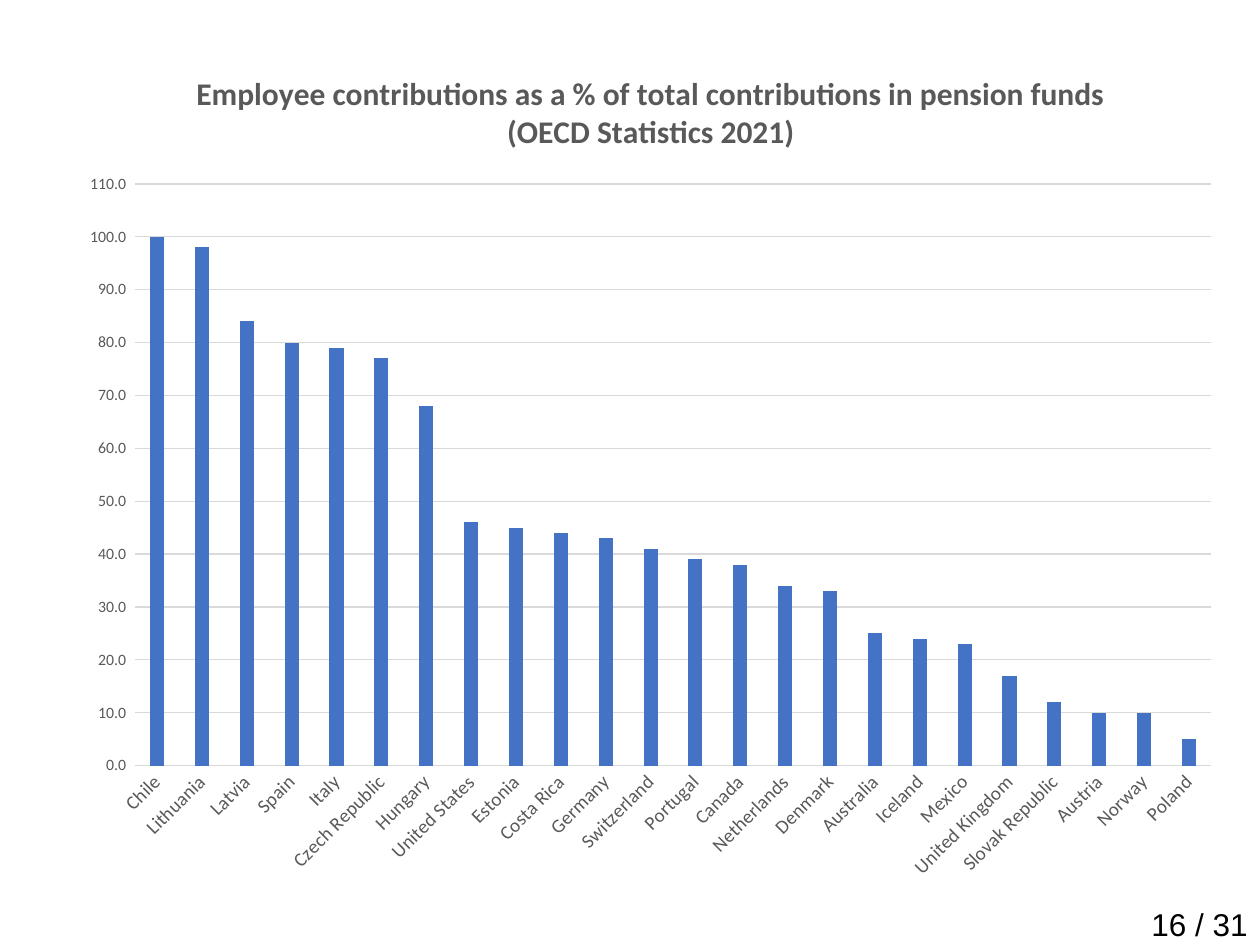
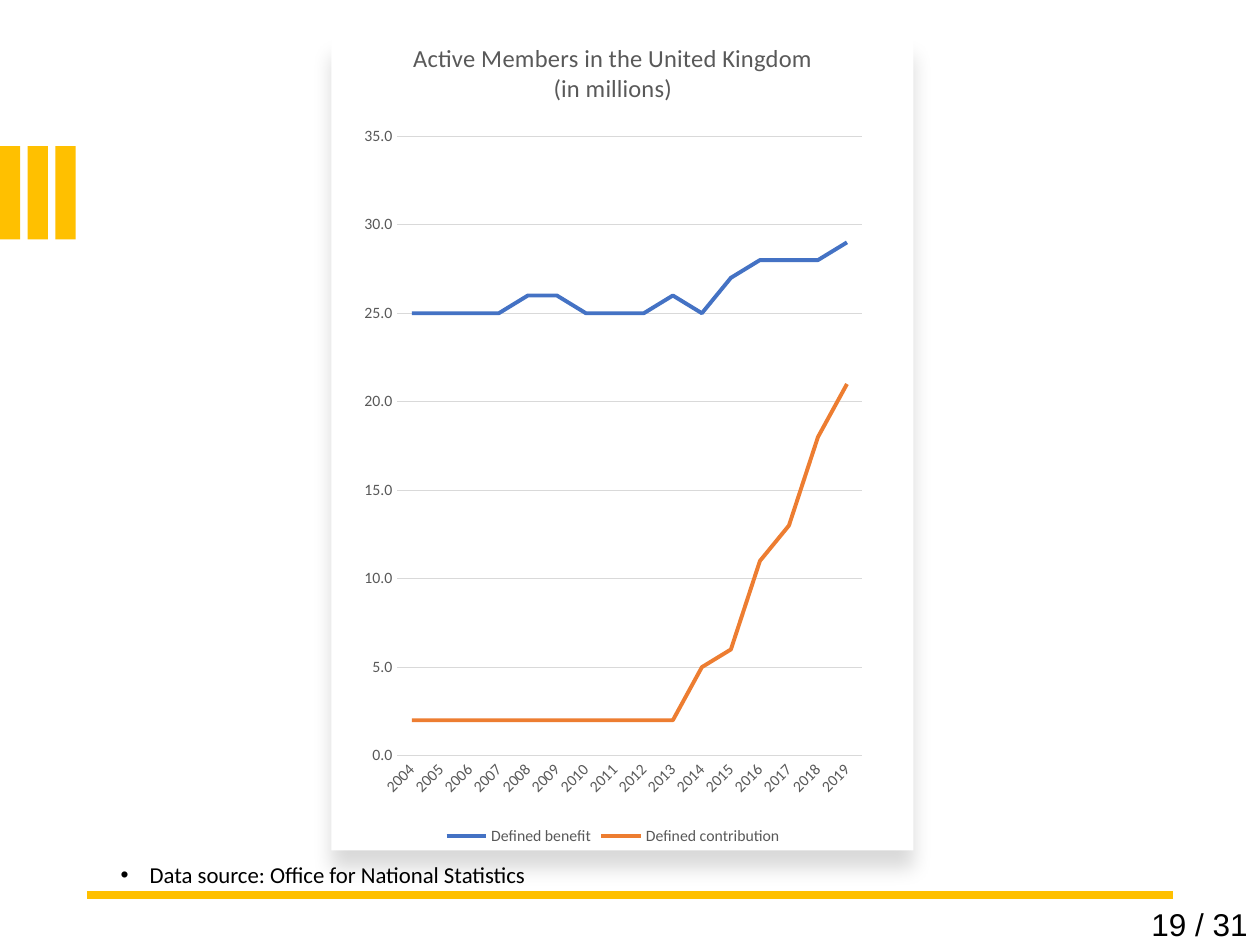
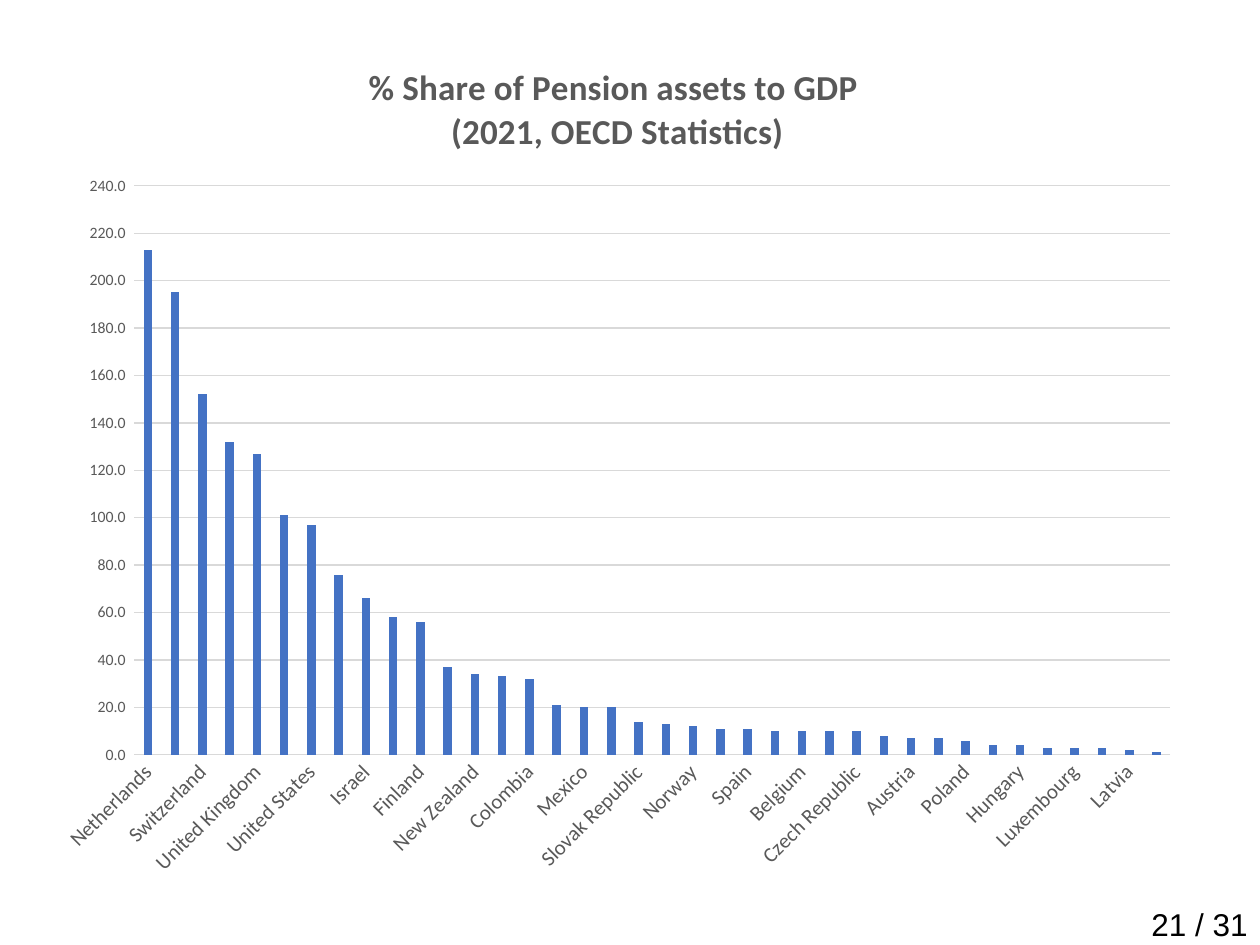
from dataclasses import dataclass

from lxml import etree
from pptx import Presentation
from pptx.chart.data import CategoryChartData
from pptx.dml.color import RGBColor
from pptx.enum.chart import XL_CHART_TYPE, XL_LEGEND_POSITION, XL_MARKER_STYLE, XL_TICK_MARK
from pptx.enum.shapes import MSO_CONNECTOR, MSO_SHAPE
from pptx.enum.text import MSO_ANCHOR, PP_ALIGN
from pptx.oxml.ns import qn
from pptx.util import Emu, Inches, Pt

COLUMNS_CHART = XL_CHART_TYPE.COLUMN_CLUSTERED
LINES_CHART = XL_CHART_TYPE.LINE
BOTTOM = XL_LEGEND_POSITION.BOTTOM
NO_MARKER = XL_MARKER_STYLE.NONE
NO_TICK = XL_TICK_MARK.NONE
RECTANGLE = MSO_SHAPE.RECTANGLE
STRAIGHT = MSO_CONNECTOR.STRAIGHT
MIDDLE = MSO_ANCHOR.MIDDLE
RIGHT = PP_ALIGN.RIGHT

WIDTH, HEIGHT = Inches(10), Inches(7.5)
GRID_COLUMNS, GRID_ROWS = 100, 75
BLANK_LAYOUT = 6
PAGE_COUNT = 31

BLACK, WHITE, GREY, RULE = "000000", "FFFFFF", "595959", "D9D9D9"
BLUE, ORANGE, GOLD = "4472C4", "ED7D31", "FFC000"
BODY_FONT, NUMBER_FONT = "Calibri", "Arial"
PADDED_FORMAT = "#,##0.0_ ;\\-#,##0.0\\ "
AUTOMATIC_ROTATION = "-60000000"


@dataclass(frozen=True)
class Frame:
    column: float
    row: float
    columns: float
    rows: float

    def place(self) -> tuple[Emu, Emu, Emu, Emu]:
        return across(self.column), down(self.row), across(self.columns), down(self.rows)


@dataclass(frozen=True)
class Series:
    name: str
    values: list[int]
    color: str


@dataclass(frozen=True)
class ChartPlan:
    frame: Frame
    kind: int
    title: str
    title_size: float
    title_bold: bool
    label_size: float
    categories: list[str]
    series: list[Series]
    number_format: str
    maximum: float
    step: float


CONTRIBUTIONS = ChartPlan(
    Frame(5.3, 3.6, 92.7, 67.5), COLUMNS_CHART,
    "Employee contributions as a % of total contributions in pension funds\n(OECD Statistics 2021)",
    18, True, 11,
    ["Chile", "Lithuania", "Latvia", "Spain", "Italy", "Czech Republic", "Hungary",
     "United States", "Estonia", "Costa Rica", "Germany", "Switzerland", "Portugal",
     "Canada", "Netherlands", "Denmark", "Australia", "Iceland", "Mexico",
     "United Kingdom", "Slovak Republic", "Austria", "Norway", "Poland"],
    [Series("Series 1", [100, 98, 84, 80, 79, 77, 68, 46, 45, 44, 43, 41, 39, 38, 34, 33,
                         25, 24, 23, 17, 12, 10, 10, 5], BLUE)],
    PADDED_FORMAT, 110, 10)

MEMBERS = ChartPlan(
    Frame(28.1, 1.1, 41.1, 66.4), LINES_CHART,
    "Active Members in the United Kingdom\n(in millions)",
    14, False, 9,
    [str(year) for year in range(2004, 2020)],
    [Series("Defined benefit", [25, 25, 25, 25, 26, 26, 25, 25, 25, 26, 25, 27, 28, 28,
                                28, 29], BLUE),
     Series("Defined contribution", [2, 2, 2, 2, 2, 2, 2, 2, 2, 2, 5, 6, 11, 13, 18,
                                     21], ORANGE)],
    "0.0", 35, 5)

ASSETS = ChartPlan(
    Frame(3.3, 2.9, 91.4, 67.9), COLUMNS_CHART,
    "% Share of Pension assets to GDP \n(2021, OECD Statistics)",
    20, True, 12,
    ["Netherlands", "Iceland", "Switzerland", "Australia", "United Kingdom", "Canada",
     "United States", "Chile", "Israel", "Denmark", "Finland", "Costa Rica", "New Zealand",
     "Ireland", "Colombia", "Japan", "Mexico", "Estonia", "Slovak Republic", "Korea",
     "Norway", "Portugal", "Spain", "Italy", "Belgium", "Lithuania", "Czech Republic",
     "Germany", "Austria", "Slovenia", "Poland", "Sweden", "Hungary", "Turkey",
     "Luxembourg", "France", "Latvia", "Greece"],
    [Series("Series 1", [213, 195, 152, 132, 127, 101, 97, 76, 66, 58, 56, 37, 34, 33, 32,
                         21, 20, 20, 14, 13, 12, 11, 11, 10, 10, 10, 10, 8, 7, 7, 6, 4, 4,
                         3, 3, 3, 2, 1], BLUE)],
    PADDED_FORMAT, 240, 20)


def across(columns: float) -> Emu:
    return Emu(round(WIDTH * columns / GRID_COLUMNS))


def down(rows: float) -> Emu:
    return Emu(round(HEIGHT * rows / GRID_ROWS))


def rgb(value: str) -> RGBColor:
    return RGBColor.from_string(value)


def add_element(parent, tag: str, **attributes: str):
    return etree.SubElement(parent, qn(tag), attributes)


def format_font(font, *, size: float, color: str = GREY, bold: bool = False,
                name: str = BODY_FONT) -> None:
    font.name = name
    font.size = Pt(size)
    font.bold = bold
    font.color.rgb = rgb(color)


def write(frame, text: str, *, align=None, **style) -> None:
    for index, line in enumerate(text.split("\n")):
        para = frame.add_paragraph() if index else frame.paragraphs[0]
        para.alignment = align
        span = para.add_run()
        span.text = line
        for font in (para.font, span.font):
            format_font(font, **style)


def add_box(page, frame: Frame):
    box = page.shapes.add_textbox(*frame.place()).text_frame
    box.word_wrap = True
    return box


def add_rectangle(page, frame: Frame, color: str):
    shape = page.shapes.add_shape(RECTANGLE, *frame.place())
    shape.shadow.inherit = False
    shape.fill.solid()
    shape.fill.fore_color.rgb = rgb(color)
    shape.line.fill.background()
    return shape


def format_line(line, color: str, width: float) -> None:
    line.color.rgb = rgb(color)
    line.width = Pt(width)


def format_axes(chart, plan: ChartPlan) -> None:
    names, scale = chart.category_axis, chart.value_axis
    for axis, size in ((names, plan.label_size), (scale, 9)):
        axis.major_tick_mark = axis.minor_tick_mark = NO_TICK
        format_font(axis.tick_labels.font, size=size)
        body = axis._element.find(qn("c:txPr")).find(qn("a:bodyPr"))
        body.set("rot", AUTOMATIC_ROTATION)
        body.set("vert", "horz")
    names.has_major_gridlines = False
    format_line(names.format.line, RULE, 0.75)
    scale.format.line.fill.background()
    scale.has_major_gridlines = True
    format_line(scale.major_gridlines.format.line, RULE, 0.75)
    scale.minimum_scale = 0
    scale.maximum_scale = plan.maximum
    scale.major_unit = plan.step
    scale.tick_labels.number_format = plan.number_format
    scale.tick_labels.number_format_is_linked = False


def add_plan(page, plan: ChartPlan) -> None:
    data = CategoryChartData()
    data.categories = plan.categories
    for entry in plan.series:
        data.add_series(entry.name, entry.values)
    chart = page.shapes.add_chart(plan.kind, *plan.frame.place(), data).chart
    format_font(chart.font, size=10, color=BLACK)
    chart.has_title = True
    write(chart.chart_title.text_frame, plan.title, size=plan.title_size, bold=plan.title_bold)
    chart.chart_title.include_in_layout = False
    format_axes(chart, plan)

    plot = chart.plots[0]
    plot.vary_by_categories = False
    for drawn, entry in zip(plot.series, plan.series):
        if plan.kind == LINES_CHART:
            drawn.smooth = False
            drawn.marker.style = NO_MARKER
            format_line(drawn.format.line, entry.color, 2.25)
        else:
            drawn.format.fill.solid()
            drawn.format.fill.fore_color.rgb = rgb(entry.color)
    if plan.kind == COLUMNS_CHART:
        plot.gap_width = 219
        plot.overlap = -27

    chart.has_legend = len(plan.series) > 1
    if chart.has_legend:
        chart.legend.position = BOTTOM
        chart.legend.include_in_layout = False
        format_font(chart.legend.font, size=9)


def add_page(deck, number: int):
    page = deck.slides.add_slide(deck.slide_layouts[BLANK_LAYOUT])
    page.background.fill.solid()
    page.background.fill.fore_color.rgb = rgb(WHITE)
    write(add_box(page, Frame(82.5, 71.3, 17.5, 3.8)), f"{number} / {PAGE_COUNT}",
          size=18, color=BLACK, name=NUMBER_FONT, align=RIGHT)
    return page


def add_source(page, text: str) -> None:
    box = add_box(page, Frame(8.6, 68.1, 40.9, 2.8))
    box.vertical_anchor = MIDDLE
    para = box.paragraphs[0]
    properties = para._p.get_or_add_pPr()
    properties.set("marL", str(Inches(0.23)))
    properties.set("indent", str(-Inches(0.23)))
    add_element(add_element(properties, "a:buClr"), "a:srgbClr", val=BLACK)
    add_element(properties, "a:buFont", typeface=NUMBER_FONT)
    add_element(properties, "a:buChar", char="•")
    para.line_spacing = 0.9
    para.space_after = Pt(6)
    write(box, text, size=13, color=BLACK)


def add_card(page, frame: Frame) -> None:
    card = add_rectangle(page, frame, WHITE)
    effects = card._element.spPr.find(qn("a:effectLst"))
    shadow = add_element(effects, "a:outerShdw", blurRad=str(Pt(11)), dist=str(Pt(10)),
                         dir="5400000", algn="t", rotWithShape="0")
    add_element(add_element(shadow, "a:srgbClr", val=BLACK), "a:alpha", val="15000")


def add_rule(page, start: float, end: float, row: float) -> None:
    rule = page.shapes.add_connector(STRAIGHT, across(start), down(row), across(end), down(row))
    format_line(rule.line, GOLD, 4.5)
    add_element(rule._element.spPr, "a:effectLst")


def add_members_page(deck) -> None:
    page = add_page(deck, 19)
    for index in range(3):
        add_rectangle(page, Frame(2.2 * index, 11.6, 1.6, 7.4), GOLD)
    add_source(page, "Data source: Office for National Statistics")
    add_card(page, Frame(26.3, 3.1, 46.2, 64.4))
    add_rule(page, 93.1, 6.9, 71)
    add_plan(page, MEMBERS)


def main() -> None:
    deck = Presentation()
    deck.slide_width, deck.slide_height = WIDTH, HEIGHT
    add_plan(add_page(deck, 16), CONTRIBUTIONS)
    add_members_page(deck)
    add_plan(add_page(deck, 21), ASSETS)
    deck.save("out.pptx")


if __name__ == "__main__":
    main()
